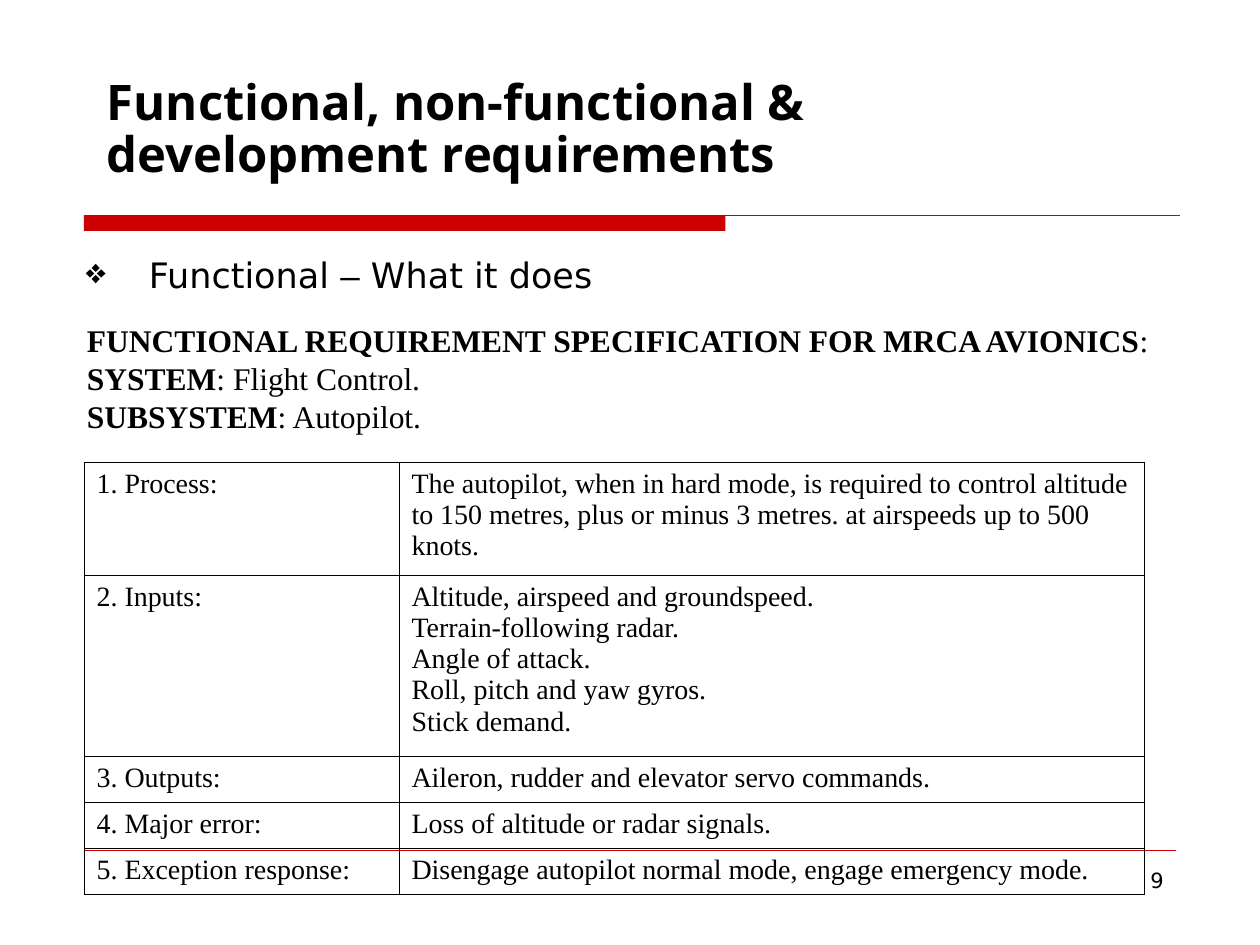
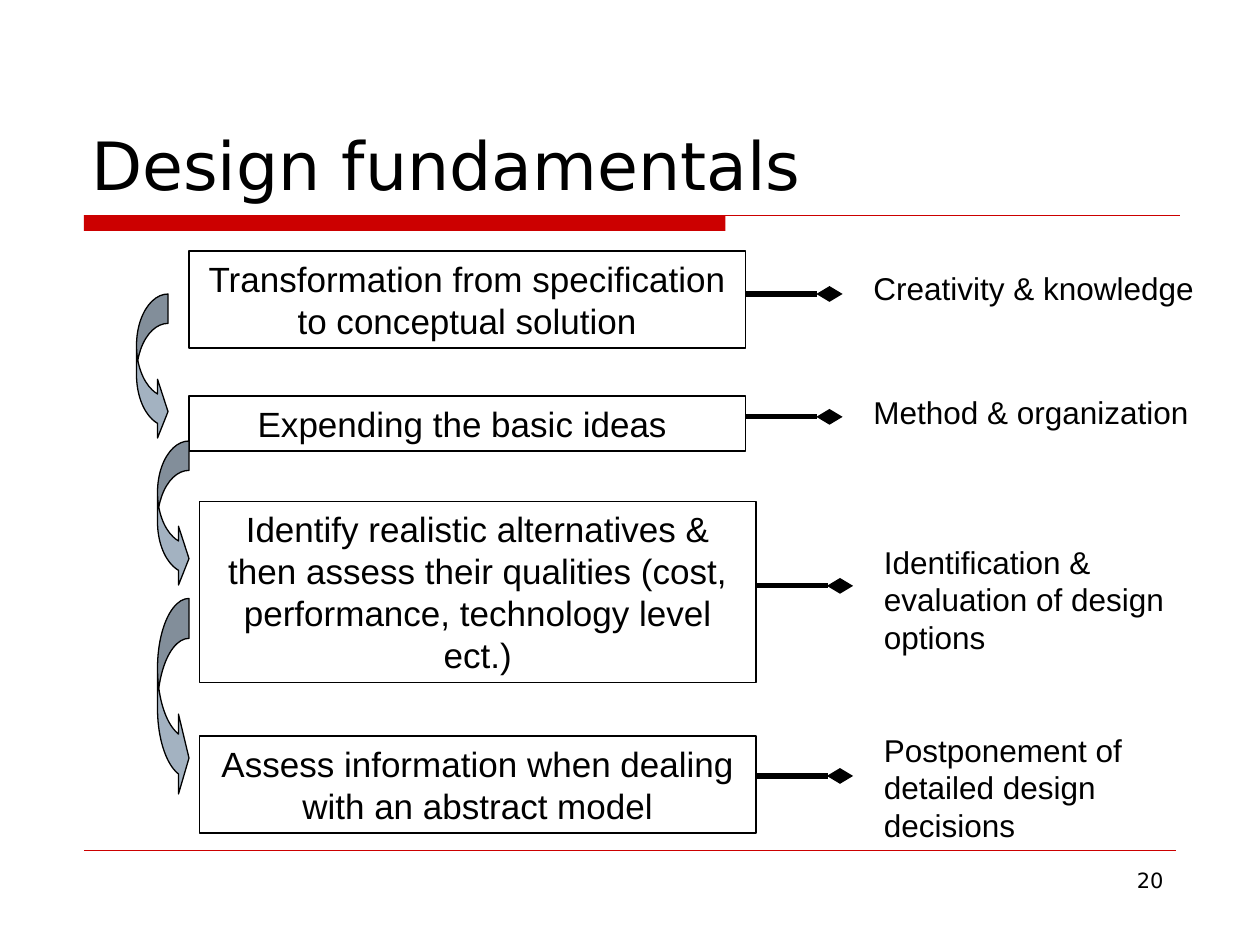
from lxml import etree
from pptx import Presentation
from pptx.dml.color import RGBColor
from pptx.enum.shapes import MSO_CONNECTOR as CONN, MSO_SHAPE as SHAPE
from pptx.enum.text import MSO_ANCHOR as ANCHOR, PP_ALIGN as ALIGN
from pptx.oxml.ns import qn
from pptx.util import Inches, Pt

BLACK, RED, STEEL = "000000", "CC0000", "A3B2C1"
SANS, SERIF, HEAD, BODY = "Arial", "Times New Roman", "Open Sans", "DejaVu Sans"


def color(hex_code):
    return RGBColor.from_string(hex_code)


def grid(*units):
    """Columns and rows are twelfths of an inch: 120 x 90 on a slide."""
    return [Inches(u / 12) for u in units]


def child(parent, tag, **attrs):
    return etree.SubElement(parent, qn(tag), attrs)


class Deck:
    def __init__(self):
        self.prs = Presentation()
        self.prs.slide_width, self.prs.slide_height = grid(120, 90)
        self.s = None

    def new_slide(self, number):
        """Start a slide with the red band, the footer rule and its number."""
        self.s = self.prs.slides.add_slide(self.prs.slide_layouts[6])
        self.shape(SHAPE.RECTANGLE, (8, 20.5, 61.1, 1.5), fill=RED, line=None)
        self.line((8, 20.5), (112.4, 20.5), RED, 0.75)
        self.line((8, 81), (112, 81), RED, 0.25)
        self.text((86, 82, 26, 6.25), [str(number)], BODY, 12, align=ALIGN.RIGHT)

    def shape(self, kind, box, fill=None, line=BLACK):
        sp = self.s.shapes.add_shape(kind, *grid(*box))
        sp.shadow.inherit = False
        if fill:
            sp.fill.solid()
            sp.fill.fore_color.rgb = color(fill)
        else:
            sp.fill.background()
        if line:
            sp.line.color.rgb = color(line)
            sp.line.width = Pt(0.75)
        else:
            sp.line.fill.background()
        return sp

    def line(self, start, end, hex_code, width, diamond=False):
        c = self.s.shapes.add_connector(CONN.STRAIGHT, *grid(*start, *end))
        c.line.color.rgb = color(hex_code)
        c.line.width = Pt(width)
        if diamond:
            ln = c.line._get_or_add_ln()
            child(ln, "a:tailEnd", type="diamond", w="med", len="lg")
        child(c._element.spPr, "a:effectLst")

    def set_text(self, tf, paragraphs, font, size, bold=None, align=ALIGN.LEFT):
        """Each paragraph is a string or a list of (text, font, bold) runs."""
        tf.word_wrap = True
        for i, runs in enumerate(paragraphs):
            p = tf.paragraphs[0] if i == 0 else tf.add_paragraph()
            p.alignment = align
            p.font.name, p.font.size, p.font.bold = font, Pt(size), bold
            p.font.color.rgb = color(BLACK)
            if isinstance(runs, str):
                runs = [(runs, None, None)]
            for text, run_font, run_bold in runs:
                r = p.add_run()
                r.text = text
                if run_font:
                    r.font.name = run_font
                if run_bold:
                    r.font.bold = True

    def text(self, box, paragraphs, font, size, anchor=ANCHOR.TOP, **style):
        tf = self.s.shapes.add_textbox(*grid(*box)).text_frame
        tf.vertical_anchor = anchor
        self.set_text(tf, paragraphs, font, size, **style)
        return tf

    def bullet(self, box, runs, font, size):
        tf = self.text(box, [[]], font, size, align=ALIGN.JUSTIFY)
        p = tf.paragraphs[0]
        p.line_spacing = 0.9
        pPr = p._p.get_or_add_pPr()
        indent = Inches(0.5)
        pPr.set("marL", str(indent))
        pPr.set("indent", str(-indent))
        mark = etree.Element(qn("a:buChar"), char="❖")
        pPr.find(qn("a:defRPr")).addprevious(mark)
        for text, run_font in runs:
            r = p.add_run()
            r.text, r.font.name = text, run_font

    def box(self, box, text):
        sp = self.shape(SHAPE.RECTANGLE, box)
        sp.text_frame.vertical_anchor = ANCHOR.MIDDLE
        self.set_text(sp.text_frame, [text], SANS, 20, align=ALIGN.CENTER)

    def curved_arrow(self, left, top, width, height):
        sp = self.shape(SHAPE.CURVED_RIGHT_ARROW, (left, top, width, height), STEEL)
        ratio = height / width
        for i, value in enumerate((0.2 * ratio, 0.4 * ratio, 1 / 3)):
            sp.adjustments[i] = value

    def table(self, left, top, widths, heights, rows):
        frame = self.s.shapes.add_table(len(rows), len(widths), *grid(
            left, top, sum(widths), sum(heights)))
        t = frame.table
        t.first_row = t.horz_banding = False
        for col, width in zip(t.columns, grid(*widths)):
            col.width = width
        for row, height, texts in zip(t.rows, grid(*heights), rows):
            row.height = height
            for cell, text in zip(row.cells, texts):
                self.set_text(cell.text_frame, text.split("\n"), SERIF, 16)
                self.borders(cell)
                cell.fill.background()

    def borders(self, cell):
        tcPr = cell._tc.get_or_add_tcPr()
        for side in ("L", "R", "T", "B"):
            ln = child(tcPr, f"a:ln{side}", w=str(Pt(0.45)))
            child(child(ln, "a:solidFill"), "a:srgbClr", val=BLACK)


def requirements(d):
    d.new_slide(9)
    d.bullet((7, 24, 103, 7), [("Functional ", BODY), ("–", SANS),
                               (" What it does", BODY)], BODY, 20)
    title = d.text((9, 7, 100, 11),
                   ["Functional, non-functional & development requirements"],
                   HEAD, 28, anchor=ANCHOR.MIDDLE, bold=True)
    title.paragraphs[0].line_spacing = 0.88

    # Specification heading
    heading = [
        ("FUNCTIONAL REQUIREMENT SPECIFICATION FOR MRCA AVIONICS", ":"),
        ("SYSTEM", ": Flight Control."),
        ("SUBSYSTEM", ": Autopilot."),
    ]
    d.text((7.1, 30, 105.4, 12),
           [[(name, None, True), (value, None, None)] for name, value in heading],
           SERIF, 18, anchor=ANCHOR.MIDDLE)

    # Specification table
    d.table(8, 44, (30, 71), (10.8, 17.2, 4.4, 4.4, 4.4), [
        ("1. Process:", "The autopilot, when in hard mode, is required to control "
         "altitude to 150 metres, plus or minus 3 metres. at airspeeds up to 500 knots."),
        ("2. Inputs:", "Altitude, airspeed and groundspeed.\nTerrain-following radar.\n"
         "Angle of attack.\nRoll, pitch and yaw gyros.\nStick demand."),
        ("3. Outputs:", "Aileron, rudder and elevator servo commands."),
        ("4. Major error:", "Loss of altitude or radar signals."),
        ("5. Exception response:",
         "Disengage autopilot normal mode, engage emergency mode."),
    ])


def fundamentals(d):
    d.new_slide(20)
    d.text((7.5, 4, 105, 16), ["Design fundamentals"], BODY, 38, anchor=ANCHOR.BOTTOM)

    # Steps: left, top, height, text, link row, then label top, size and text
    steps = [
        (18, 23.9, 9.25, "Transformation from specification to conceptual solution",
         28, 25, 33.5, 4.8, "Creativity & knowledge"),
        (18, 37.7, 5.25, "Expending the basic ideas ",
         39.7, 36.8, 33.5, 4.8, "Method & organization"),
        (19, 47.75, 17.25, "Identify realistic alternatives & then assess their "
         "qualities (cost, performance, technology level ect.)",
         55.8, 51.1, 30, 12, "Identification & evaluation of design options"),
        (19, 70.1, 9.25, "Assess information when dealing with an abstract model",
         73.9, 69, 32, 12, "Postponement of detailed design decisions"),
    ]
    width, link, gap = 53, 8, 3
    for left, top, height, step, row, label_top, label_w, label_h, label in steps:
        right = left + width
        d.box((left, top, width, height), step)
        d.line((right, row), (right + link, row), BLACK, 3, diamond=True)
        d.text((right + link + gap, label_top, label_w, label_h), [label], SANS, 18)

    # Arrows from each step to the next
    for left, top, height in ((13, 28, 14), (15, 42, 14), (15, 57, 19)):
        d.curved_arrow(left, top, 3, height)


def main():
    d = Deck()
    requirements(d)
    fundamentals(d)
    d.prs.save("out.pptx")


if __name__ == "__main__":
    main()
